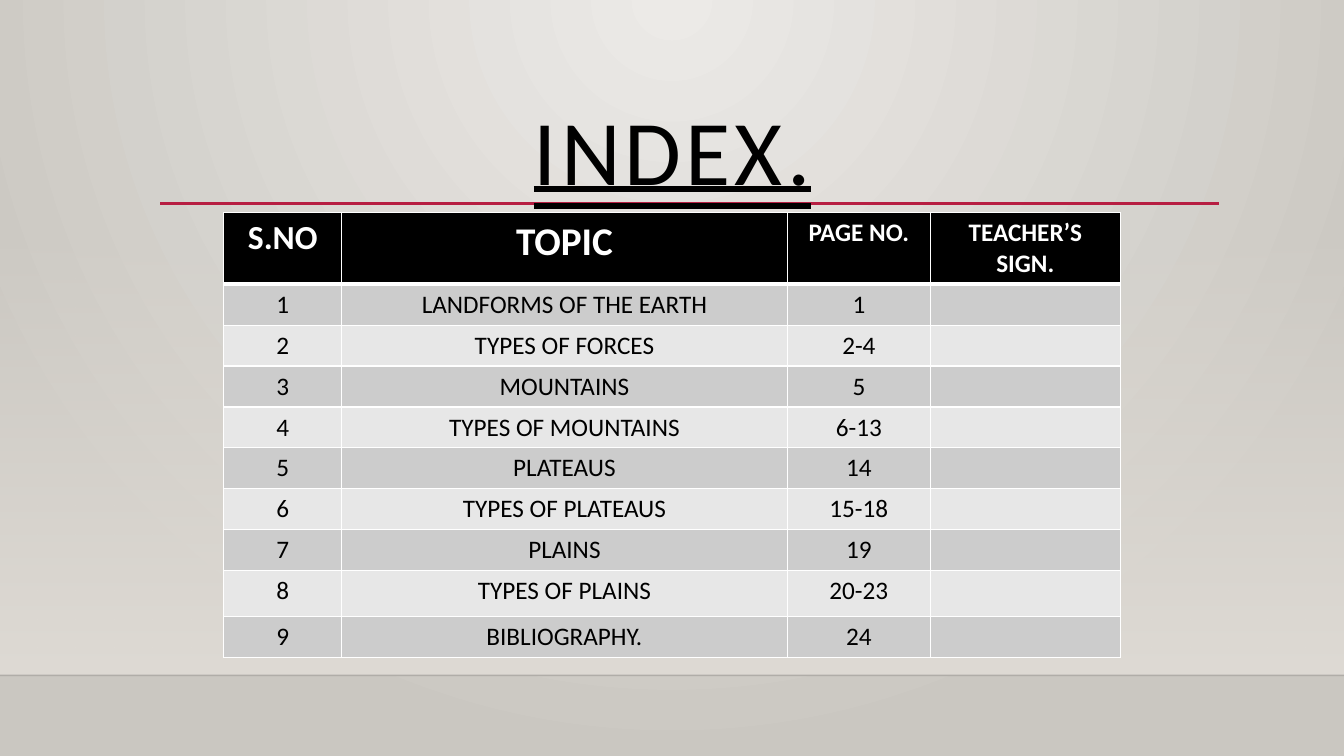
from lxml import etree
from pptx import Presentation
from pptx.dml.color import RGBColor
from pptx.enum.shapes import MSO_CONNECTOR, MSO_SHAPE
from pptx.enum.text import MSO_ANCHOR, MSO_AUTO_SIZE, MSO_UNDERLINE, PP_ALIGN
from pptx.oxml.ns import qn
from pptx.util import Cm, Pt

STRAIGHT = MSO_CONNECTOR.STRAIGHT
RECTANGLE = MSO_SHAPE.RECTANGLE
CENTER = PP_ALIGN.CENTER
MIDDLE = MSO_ANCHOR.MIDDLE
NO_AUTOFIT = MSO_AUTO_SIZE.NONE
DOUBLE = MSO_UNDERLINE.DOUBLE_LINE

BLACK = RGBColor(0x00, 0x00, 0x00)
WHITE = RGBColor(0xFF, 0xFF, 0xFF)
CRIMSON = RGBColor(0xB7, 0x1E, 0x42)
WALL_LIGHT = RGBColor(0xEC, 0xEA, 0xE7)
WALL_DARK = RGBColor(0xCA, 0xC7, 0xC1)
GLOW = RGBColor(0xDF, 0xDB, 0xD5)
BANDS = (RGBColor(0xCC, 0xCC, 0xCC), RGBColor(0xE7, 0xE7, 0xE7))

FONT = "Calibri"
SLIDE_WIDTH, SLIDE_HEIGHT = Cm(33.87), Cm(19.05)
FLOOR_TOP = Cm(17.02)
COLUMN_WIDTHS = (Cm(2.97), Cm(11.23), Cm(3.61), Cm(4.78))
HEADER_HEIGHT, ROW_HEIGHT, TALL_ROW_HEIGHT = Cm(1.78), Cm(1.03), Cm(1.17)
TALL_ROW = 8
HEADER = (("S.NO", 24), ("TOPIC", 28), ("PAGE NO.", 18), ("TEACHER’S SIGN.", 18))
TOPICS = (
    ("LANDFORMS OF THE EARTH", "1"),
    ("TYPES OF FORCES", "2-4"),
    ("MOUNTAINS", "5"),
    ("TYPES OF MOUNTAINS", "6-13"),
    ("PLATEAUS", "14"),
    ("TYPES OF PLATEAUS", "15-18"),
    ("PLAINS", "19"),
    ("TYPES OF PLAINS", "20-23"),
    ("BIBLIOGRAPHY.", "24"),
)


def add_xml(parent, tag, **attributes):
    return etree.SubElement(parent, qn(tag), attributes)


def add_alpha(color_element, percent):
    add_xml(color_element, "a:alpha", val=str(percent * 1000))


def set_gradient(fill, owner, stops):
    """Fill with (position, colour, opacity) stops and return the gradient."""
    fill.gradient()
    gradient = next(owner.iter(qn("a:gradFill")))
    for child in list(gradient):
        gradient.remove(child)
    stop_list = add_xml(gradient, "a:gsLst")
    for position, color, opacity in stops:
        stop = add_xml(stop_list, "a:gs", pos=str(position * 1000))
        add_alpha(add_xml(stop, "a:srgbClr", val=str(color)), opacity)
    return gradient


def add_background(slide):
    stops = ((0, WALL_LIGHT, 100), (100, WALL_DARK, 100))
    gradient = set_gradient(slide.background.fill, slide.element, stops)
    circle = add_xml(gradient, "a:path", path="circle")
    add_xml(circle, "a:fillToRect", l="43000", t="0", r="43000", b="100000")


def add_wall_glow(slide):
    top = Cm(5.61)
    glow = slide.shapes.add_shape(RECTANGLE, 0, top, SLIDE_WIDTH, FLOOR_TOP - top)
    glow.shadow.inherit = False
    glow.line.fill.background()
    gradient = set_gradient(glow.fill, glow.element, ((0, GLOW, 0), (100, GLOW, 100)))
    add_xml(gradient, "a:lin", ang="5400000", scaled="0")


def add_rule(slide, left, right, y, color, width, opacity=100):
    rule = slide.shapes.add_connector(STRAIGHT, left, y, right, y)
    rule.line.color.rgb = color
    rule.line.width = Pt(width)
    add_alpha(next(rule.element.iter(qn("a:srgbClr"))), opacity)
    add_xml(rule.element.spPr, "a:effectLst")


def write_text(para, text, size, color, **formats):
    para.alignment = CENTER
    span = para.add_run()
    span.text = text
    span.font.color.rgb = color
    for name, value in {"name": FONT, "size": Pt(size), **formats}.items():
        setattr(span.font, name, value)
    return span


def add_title(slide, text):
    title = slide.shapes.title
    place = {"left": Cm(3.61), "top": Cm(2.46), "width": Cm(26.67), "height": Cm(2.92)}
    for name, value in place.items():
        setattr(title, name, value)
    frame = title.text_frame
    frame.auto_size = NO_AUTOFIT
    frame.vertical_anchor = MIDDLE
    para = frame.paragraphs[0]
    para.line_spacing = 0.9
    span = write_text(para, text, 66, BLACK, underline=DOUBLE)
    span.font._element.set("spc", "300")
    # Bring the title in front of the rules
    slide.shapes._spTree.append(title.element)


def set_borders(cell, top=1, bottom=1):
    properties = cell._tc.get_or_add_tcPr()
    widths = {"a:lnL": 1, "a:lnR": 1, "a:lnT": top, "a:lnB": bottom}
    for index, (tag, width) in enumerate(widths.items()):
        border = add_xml(properties, tag, w=str(Pt(width)))
        add_xml(add_xml(border, "a:solidFill"), "a:srgbClr", val=str(WHITE))
        properties.insert(index, border)


def fill_cell(cell, text, fill, size, color, bold):
    cell.fill.solid()
    cell.fill.fore_color.rgb = fill
    if text:
        write_text(cell.text_frame.paragraphs[0], text, size, color, bold=bold)


def add_index_table(slide):
    heights = [HEADER_HEIGHT] + [ROW_HEIGHT] * len(TOPICS)
    heights[TALL_ROW] = TALL_ROW_HEIGHT
    table = slide.shapes.add_table(
        len(heights), len(COLUMN_WIDTHS), Cm(5.64), Cm(5.36),
        sum(COLUMN_WIDTHS), sum(heights),
    ).table
    for column, width in zip(table.columns, COLUMN_WIDTHS):
        column.width = width
    for row, height in zip(table.rows, heights):
        row.height = height

    for cell, (text, size) in zip(table.rows[0].cells, HEADER):
        fill_cell(cell, text, BLACK, size, WHITE, True)
        set_borders(cell, bottom=3)
    for number, (topic, pages) in enumerate(TOPICS, 1):
        band = BANDS[(number - 1) % 2]
        for cell, text in zip(table.rows[number].cells, (str(number), topic, pages, "")):
            fill_cell(cell, text, band, 18, BLACK, False)
            set_borders(cell, top=3 if number == 1 else 1)


def main():
    deck = Presentation()
    deck.slide_width, deck.slide_height = SLIDE_WIDTH, SLIDE_HEIGHT
    slide = deck.slides.add_slide(deck.slide_layouts.get_by_name("Title Only"))
    add_background(slide)
    add_wall_glow(slide)
    add_rule(slide, 0, SLIDE_WIDTH, FLOOR_TOP, BLACK, 1, opacity=20)
    add_rule(slide, Cm(4.04), Cm(30.73), Cm(5.13), CRIMSON, 2.5)
    add_title(slide, "INDEX.")
    add_index_table(slide)
    deck.save("out.pptx")


if __name__ == "__main__":
    main()
